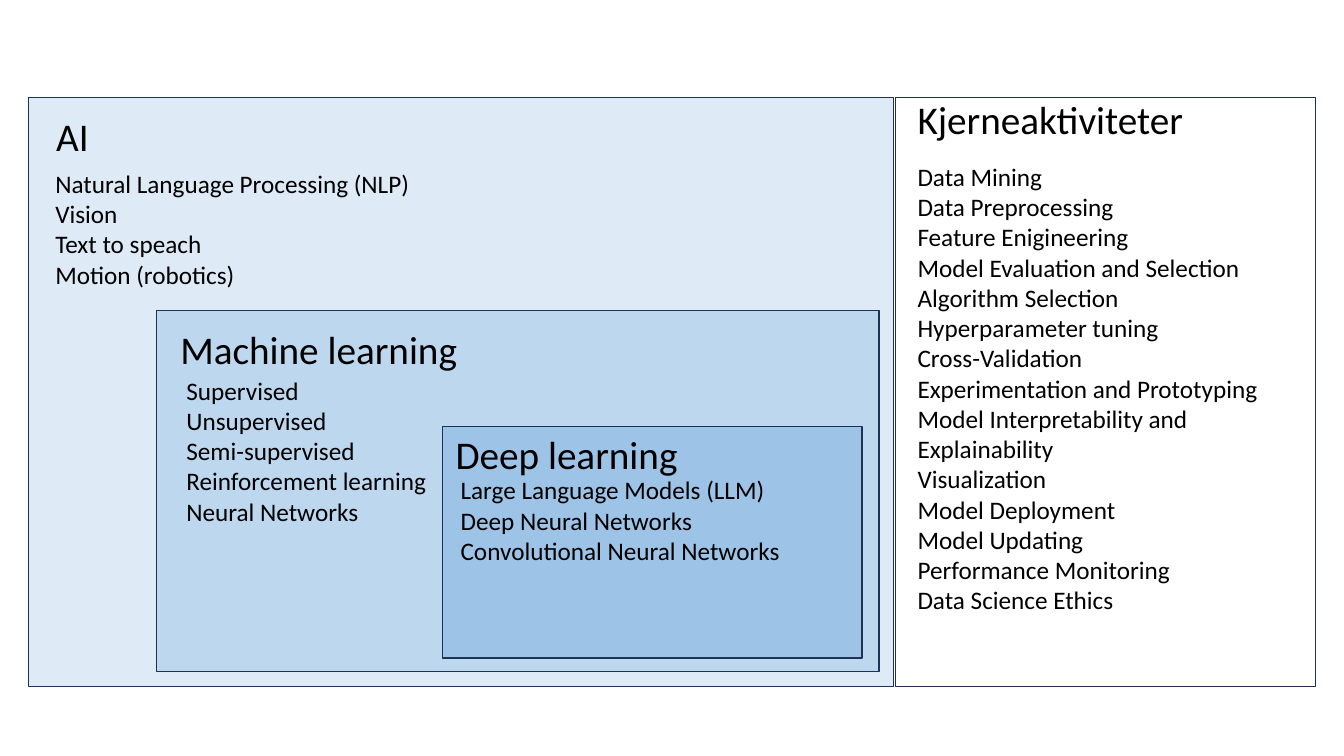
from lxml import etree
from pptx import Presentation
from pptx import util as u
from pptx.dml.color import RGBColor
from pptx.enum import shapes, text
from pptx.oxml.ns import qn


def color(hex_value):
    return RGBColor.from_string(hex_value)


def write(holder, lines, place, size=18, wrap=True):
    holder.left, holder.top, holder.width, holder.height = map(u.Inches, place)
    frame = holder.text_frame
    frame.text = "\n".join(lines)
    frame.word_wrap = wrap
    frame.auto_size = text.MSO_AUTO_SIZE.SHAPE_TO_FIT_TEXT
    frame.vertical_anchor = text.MSO_ANCHOR.TOP
    for line in frame.paragraphs:
        line.alignment = text.PP_ALIGN.LEFT
        line.line_spacing = 1.0
        line.space_before = u.Pt(0)
        line.font.name = "Calibri"
        line.font.size = u.Pt(size)
        line.font.color.rgb = color("000000")
        properties = line._p.get_or_add_pPr()
        properties.set("marL", "0")
        properties.set("indent", "0")
        bullet = etree.Element(qn("a:buNone"))
        properties.find(qn("a:defRPr")).addprevious(bullet)


prs = Presentation()
prs.slide_width = u.Inches(13.33)
prs.slide_height = u.Inches(7.5)
slide = prs.slides.add_slide(prs.slide_layouts[1])

areas = [
    ((0.28, 0.97, 8.58, 5.84), "DEEBF7"),
    ((1.55, 3.08, 7.17, 3.58), "BDD7EE"),
    ((4.39, 4.23, 4.16, 2.3), "9DC3E6"),
    ((8.88, 0.97, 4.17, 5.84), None),
]
for place, shade in areas:
    area = slide.shapes.add_shape(shapes.MSO_SHAPE.RECTANGLE, *map(u.Inches, place))
    area.shadow.inherit = False
    area.line.color.rgb = color("1E3256")
    area.line.width = u.Pt(1)
    if shade:
        area.fill.solid()
        area.fill.fore_color.rgb = color(shade)
    else:
        area.fill.background()

headings = [
    ("AI", (0.46, 1.07, 0.53, 0.57)),
    ("Machine learning", (1.69, 3.18, 2.98, 0.57)),
    ("Deep learning", (4.42, 4.22, 2.42, 0.57)),
]
for heading, place in headings:
    write(slide.shapes.add_textbox(0, 0, 0, 0), [heading], place, size=28, wrap=False)

topics = [
    (["Natural Language Processing (NLP)", "Vision", "Text to speach",
      "Motion (robotics)"], (0.45, 1.62, 3.75, 1.31), False),
    (["Supervised", "Unsupervised", "Semi-supervised", "Reinforcement learning",
      "Neural Networks"], (1.75, 3.67, 2.61, 1.62), False),
    (["Large Language Models (LLM)", "Deep Neural Networks",
      "Convolutional Neural Networks"], (4.47, 4.66, 4.06, 1.01), True),
]
for methods, place, wrap in topics:
    write(slide.shapes.add_textbox(0, 0, 0, 0), methods, place, wrap=wrap)

core_activities = [
    "Data Mining",
    "Data Preprocessing",
    "Feature Enigineering",
    "Model Evaluation and Selection",
    "Algorithm Selection",
    "Hyperparameter tuning",
    "Cross-Validation",
    "Experimentation and Prototyping",
    "Model Interpretability and Explainability",
    "Visualization",
    "Model Deployment",
    "Model Updating",
    "Performance Monitoring",
    "Data Science Ethics",
]
write(slide.shapes.title, ["Kjerneaktiviteter"], (9, 0.9, 4.06, 0.57), size=28)
write(slide.placeholders[1], core_activities, (9, 1.55, 4.06, 4.64))

prs.save("out.pptx")
